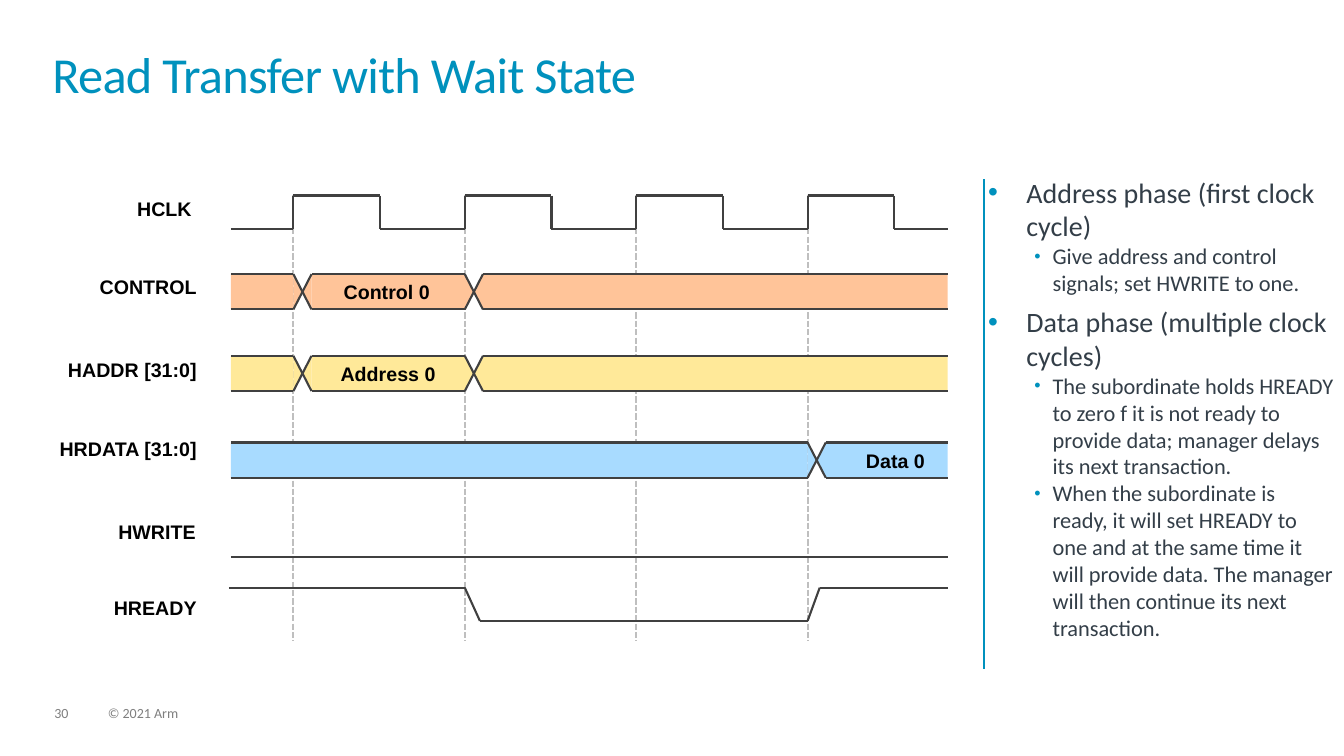
from lxml.etree import SubElement
from pptx import Presentation
from pptx.dml.color import RGBColor
from pptx.enum.dml import MSO_LINE
from pptx.enum.shapes import MSO_CONNECTOR, MSO_SHAPE
from pptx.enum.text import MSO_ANCHOR, MSO_AUTO_SIZE, PP_ALIGN
from pptx.oxml.ns import qn
from pptx.util import Inches, Pt

STRAIGHT = MSO_CONNECTOR.STRAIGHT
RECT, WEDGE = MSO_SHAPE.RECTANGLE, MSO_SHAPE.ISOSCELES_TRIANGLE
DASH = MSO_LINE.SQUARE_DOT
TOP = MSO_ANCHOR.TOP
FIXED = MSO_AUTO_SIZE.NONE
LEFT, RIGHT = PP_ALIGN.LEFT, PP_ALIGN.RIGHT
BLUE, INK, GREY, DARK = "0091BD", "333E48", "7F7F7F", "404040"
PERIOD, HALF, SLANT, BAND = 1.7, 0.86, 0.09, 0.35

POINTS = [
    (0, "Address phase (first clock cycle)"),
    (1, "Give address and control signals; set HWRITE to one."),
    (0, "Data phase (multiple clock cycles)"),
    (1, "The subordinate holds HREADY to zero f it is not ready to provide data; "
        "manager delays its next transaction."),
    (1, "When the subordinate is ready, it will set HREADY to one and at the same "
        "time it will provide data. The manager will then continue its next transaction."),
]
LABELS = [("HCLK", 1.56, 0), ("CONTROL", 1.61, 0.78), ("HADDR [31:0]", 1.61, 1.6),
          ("HRDATA [31:0]", 1.61, 2.39), ("HWRITE", 1.6, 3.21), ("HREADY", 1.61, 3.96)]
BUSES = [("FFC499", 0.82, [2.56, 4.26], "Control 0", 2.87),
         ("FFE999", 1.63, [2.56, 4.26], "Address 0", 2.84),
         ("A8DBFF", 2.49, [7.66], "Data 0", 8.05)]


def color(code):
    """Turn a hex string into a colour."""
    return RGBColor.from_string(code)


def style(font, name, size, code, bold=False):
    """Set the look of a font."""
    font.name, font.size, font.bold = name, Pt(size), bold
    font.color.rgb = color(code)


def frame(slide, x, y, w, h, pad=0.0):
    """Add a wrapping text box and return its text frame."""
    text = slide.shapes.add_textbox(Inches(x), Inches(y), Inches(w), Inches(h)).text_frame
    text.word_wrap = True
    text.margin_left = text.margin_right = Inches(pad)
    text.margin_top = text.margin_bottom = Inches(pad / 2)
    return text


def label(slide, text, x, y, w, align=LEFT):
    """Add a bold signal label."""
    line = frame(slide, x, y, w, 0.47, 0.1).paragraphs[0]
    line.text, line.alignment = text, align
    style(line.runs[0].font, "Arial", 14, "000000", True)


def rule(slide, x1, y1, x2, y2, code=DARK, width=1.5, dash=None):
    """Draw a straight line."""
    line = slide.shapes.add_connector(STRAIGHT, *map(Inches, (x1, y1, x2, y2)))
    line.line.color.rgb, line.line.width = color(code), Pt(width)
    if dash:
        line.line.dash_style = dash
    SubElement(line._element.spPr, qn("a:effectLst"))


def trace(slide, dots):
    """Join the dots with straight lines."""
    for start, stop in zip(dots, dots[1:]):
        rule(slide, *start, *stop)


def block(slide, kind, x, y, w, h, fill, turn=0):
    """Add a filled shape without edge."""
    shape = slide.shapes.add_shape(kind, *map(Inches, (x, y, w, h)))
    shape.shadow.inherit = False
    shape.fill.solid()
    shape.fill.fore_color.rgb = color(fill)
    shape.line.fill.background()
    shape.rotation = turn


def point(slide, tip, y, side, fill):
    """Draw the pointed end of a bus segment, whose body lies on the given side."""
    mid, base = y + BAND / 2, tip + side * SLANT
    block(slide, WEDGE, (tip + base - BAND) / 2, mid - SLANT / 2, BAND, SLANT, fill,
          270 if side > 0 else 90)
    trace(slide, [(base, y), (tip, mid), (base, y + BAND)])


def bus(slide, x, y, end, fill, tips):
    """Draw a bus as segments that meet at the given tips."""
    stops = [x, *tips, end]
    for a, z in zip(stops, stops[1:]):
        left = a if a == x else a + SLANT
        right = z if z == end else z - SLANT
        block(slide, RECT, left, y, right - left, BAND, fill)
        if a != x:
            point(slide, a, y, 1, fill)
        if z != end:
            point(slide, z, y, -1, fill)
        for level in (y, y + BAND):
            rule(slide, left, level, right, level)


def timing(slide, x, y, w, h):
    """Draw the timing chart in its box."""
    start, end = x + 1.85, x + w
    ticks = [x + 2.47 + PERIOD * i for i in range(4)]
    for tick in ticks:
        rule(slide, tick, y + 0.03, tick, y + h, "BFBFBF", 1.5, DASH)
    high, low = y + 0.04, y + 0.37
    clock = [(start, low)]
    for tick in ticks:
        fall = tick + HALF
        clock += [(tick, low), (tick, high), (fall, high), (fall, low)]
    trace(slide, clock + [(end, low)])
    for fill, top, tips, text, left in BUSES:
        bus(slide, start, y + top, end, fill, [x + tip for tip in tips])
        label(slide, text, x + left, y + top + 0.01, 1.34)
    rule(slide, start, y + 3.63, end, y + 3.63)
    high, low = y + 3.93, y + 4.26
    trace(slide, [(start - 0.02, high), (ticks[1], high), (ticks[1] + 0.15, low),
                  (ticks[3], low), (ticks[3] + 0.12, high), (end, high)])
    for text, edge, top in LABELS:
        label(slide, text, x, y + top, edge, RIGHT)


def bullet(line, level):
    """Give a paragraph its bullet and indent."""
    props = line._p.get_or_add_pPr()
    props.set("marL", str(Inches(0.64 if level else 0.38)))
    props.set("indent", str(Inches(-0.18 if level else -0.38)))
    SubElement(SubElement(props, qn("a:buClr")), qn("a:srgbClr")).set("val", BLUE)
    if level:
        SubElement(props, qn("a:buSzPct")).set("val", "80000")
    SubElement(props, qn("a:buFont")).set("typeface", "Arial")
    SubElement(props, qn("a:buChar")).set("char", "•")


def notes(slide, x, y, w, h):
    """Write the bulleted text beside its rule."""
    rule(slide, x - 0.04, y + 0.04, x - 0.04, y + h, BLUE, 1)
    text = frame(slide, x, y, w, h)
    for i, (level, words) in enumerate(POINTS):
        line = text.add_paragraph() if i else text.paragraphs[0]
        line.text, line.level = words, level
        bullet(line, level)
        if i and not level:
            line.space_before = Pt(6)
        style(line.runs[0].font, "Calibri", 16 if level else 20, INK)


def title(slide, x, y, w, h):
    """Place and format the title."""
    shape = slide.shapes.title
    shape.left, shape.top, shape.width, shape.height = map(Inches, (x, y, w, h))
    text = shape.text_frame
    text.text = "Read Transfer with Wait State"
    text.margin_left = text.margin_right = text.margin_top = text.margin_bottom = 0
    text.auto_size, text.vertical_anchor = FIXED, TOP
    line = text.paragraphs[0]
    line.alignment, line.line_spacing = LEFT, 0.85
    style(line.runs[0].font, "Calibri", 36, BLUE)
    line.runs[0]._r.get_or_add_rPr().set("spc", "-50")


def footer(slide, x, y, w, h):
    """Write the page number and the copyright line."""
    for text, left, wide in [("30", x, 0.34), ("© 2021 Arm", x + 0.53, w - 0.53)]:
        line = frame(slide, left, y, wide, h).paragraphs[0]
        line.text, line.line_spacing = text, 0.9
        style(line.runs[0].font, "Calibri", 10, GREY)


def main():
    """Build and save the slide."""
    deck = Presentation()
    deck.slide_width, deck.slide_height = Inches(13.33), Inches(7.5)
    slide = deck.slides.add_slide(deck.slide_layouts[5])
    title(slide, 0.52, 0.52, 12.28, 0.56)
    timing(slide, 0.44, 1.9, 8.96, 4.46)
    notes(slide, 9.8, 1.74, 3.43, 4.9)
    footer(slide, 0.54, 7.01, 5.6, 0.15)
    deck.save("out.pptx")


if __name__ == "__main__":
    main()
